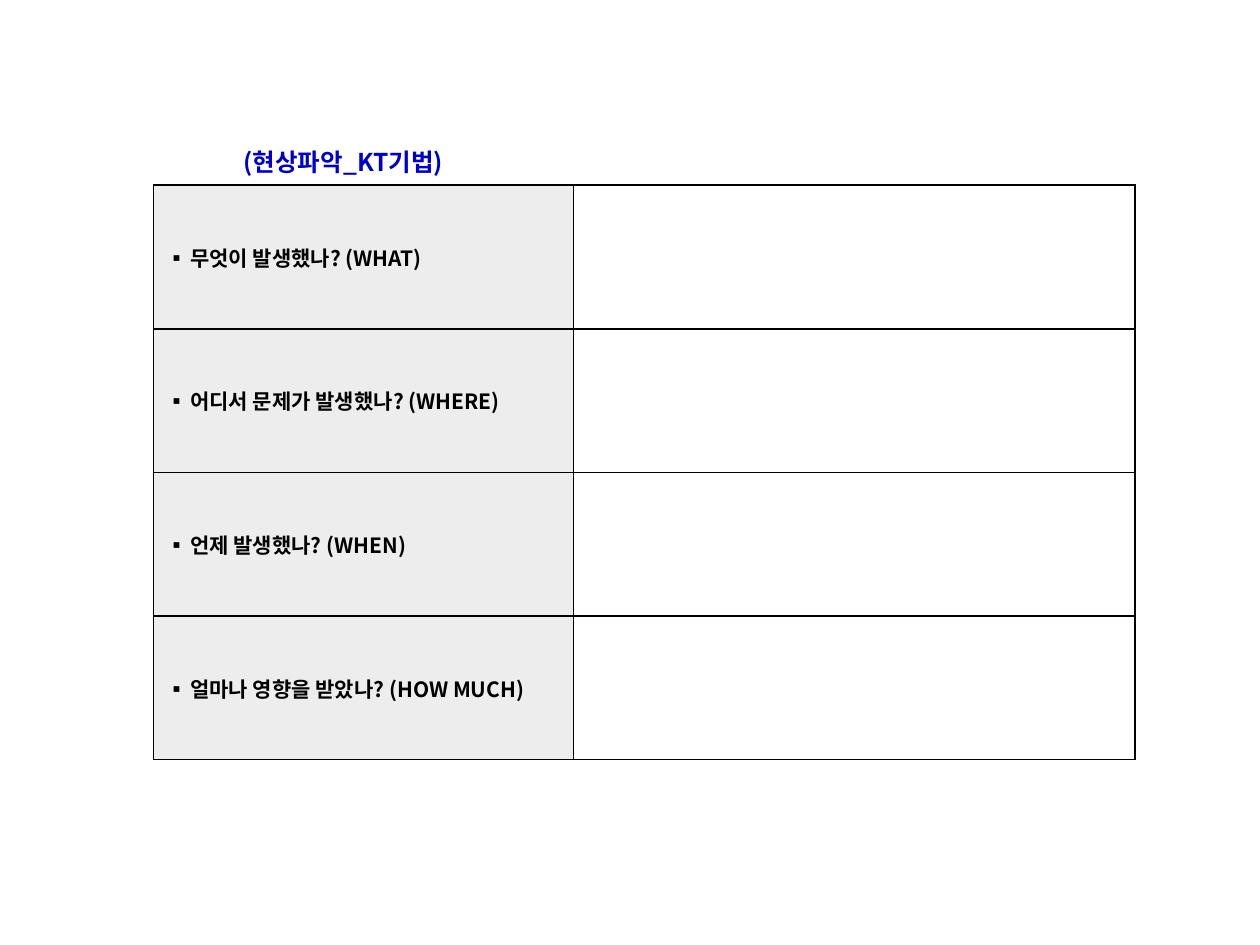
import pptx
import pptx.util
import pptx.dml.color
import pptx.enum.text
import pptx.oxml.ns
import lxml.etree

Inches, Pt = pptx.util.Inches, pptx.util.Pt
RGB = pptx.dml.color.RGBColor.from_string
qn = pptx.oxml.ns.qn
SubElement = lxml.etree.SubElement

# Content
HEADING = "(현상파악_KT기법)"
QUESTIONS = [
    "무엇이 발생했나? (WHAT)",
    "어디서 문제가 발생했나? (WHERE)",
    "언제 발생했나? (WHEN)",
    "얼마나 영향을 받았나? (HOW MUCH)",
]

THEME = {
    "font": "Noto Sans CJK KR",
    "heading": "0000CC", "text": "000000", "border": "000000",
    "question_fill": "EDEDED", "answer_fill": "FFFFFF",
    "heading_size": 14, "question_size": 12, "border_width": 1,
}

# Layout, in inches
LEFT, HEADING_TOP, TABLE_TOP = 1.22, 1.07, 1.47
HEADING_SIZE = (3.01, 0.36)
COLUMNS = (3.33, 4.46)
ROW_HEIGHT = 1.14
BULLET_INDENT = 0.19


def write(frame, text, size, color, align=None, spacing=None, bullet=None):
    paragraph = frame.paragraphs[0]
    paragraph.alignment = align
    paragraph.line_spacing = spacing
    if bullet:
        properties = paragraph._p.get_or_add_pPr()
        indent = Inches(BULLET_INDENT)
        properties.set("marL", str(indent))
        properties.set("indent", str(-indent))
        SubElement(properties, qn("a:buFont"), typeface=THEME["font"])
        SubElement(properties, qn("a:buChar"), char=bullet)
    run = paragraph.add_run()
    run.text = text
    run.font.size = Pt(size)
    run.font.bold = True
    run.font.color.rgb = RGB(color)
    run.font.name = THEME["font"]
    SubElement(run.font._element, qn("a:ea"), typeface=THEME["font"])


def style_cell(cell, fill):
    cell.vertical_anchor = pptx.enum.text.MSO_ANCHOR.MIDDLE
    cell.margin_left = cell.margin_right = Inches(0.1)
    cell.margin_top = cell.margin_bottom = Inches(0.05)
    # Border lines come before the fill in the cell properties
    properties = cell._tc.get_or_add_tcPr()
    for side in ("L", "R", "T", "B"):
        line = SubElement(properties, qn(f"a:ln{side}"),
                          w=str(Pt(THEME["border_width"])))
        solid = SubElement(line, qn("a:solidFill"))
        SubElement(solid, qn("a:srgbClr"), val=THEME["border"])
    cell.fill.solid()
    cell.fill.fore_color.rgb = RGB(fill)


def main():
    deck = pptx.Presentation()
    deck.slide_width, deck.slide_height = Inches(10), Inches(7.5)
    slide = deck.slides.add_slide(deck.slide_layouts[5])

    # Heading
    heading = slide.shapes.title
    heading.left, heading.top = Inches(LEFT), Inches(HEADING_TOP)
    heading.width, heading.height = map(Inches, HEADING_SIZE)
    frame = heading.text_frame
    frame.word_wrap = True
    frame.auto_size = pptx.enum.text.MSO_AUTO_SIZE.SHAPE_TO_FIT_TEXT
    frame.vertical_anchor = pptx.enum.text.MSO_ANCHOR.TOP
    write(frame, HEADING, THEME["heading_size"], THEME["heading"],
          align=pptx.enum.text.PP_ALIGN.CENTER, spacing=1.2)

    # Question table with blank answer column
    questions = slide.shapes.add_table(
        len(QUESTIONS), len(COLUMNS), Inches(LEFT), Inches(TABLE_TOP),
        Inches(sum(COLUMNS)), Inches(ROW_HEIGHT * len(QUESTIONS))).table
    questions.first_row = questions.horz_banding = False
    for column, width in zip(questions.columns, COLUMNS):
        column.width = Inches(width)
    for row, question in zip(questions.rows, QUESTIONS):
        row.height = Inches(ROW_HEIGHT)
        question_cell, answer_cell = row.cells
        style_cell(question_cell, THEME["question_fill"])
        style_cell(answer_cell, THEME["answer_fill"])
        write(question_cell.text_frame, question, THEME["question_size"],
              THEME["text"], bullet="▪")

    deck.save("out.pptx")


if __name__ == "__main__":
    main()
